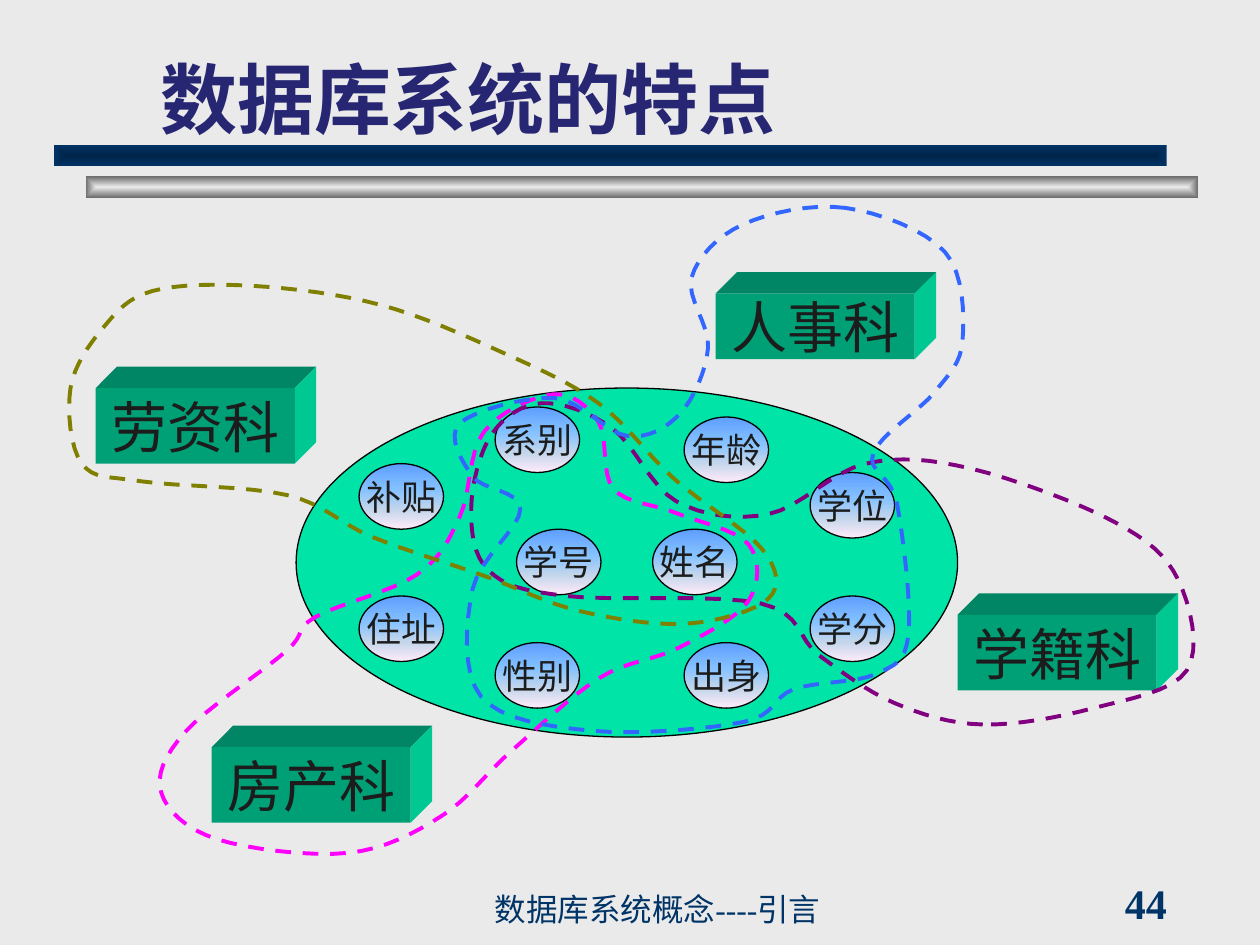
"""Builds the slide on which departments share the attributes of one database."""
from dataclasses import dataclass

from lxml import etree
from pptx import Presentation
from pptx.dml.color import RGBColor
from pptx.enum.dml import MSO_LINE
from pptx.enum.shapes import MSO_SHAPE
from pptx.enum.text import MSO_ANCHOR, MSO_AUTO_SIZE, PP_ALIGN
from pptx.oxml.ns import qn
from pptx.util import Inches, Pt

TITLE = ("数据库系统的特点", (1.17, 0.33, 8.52, 0.86))
FOOTER = ("数据库系统概念----引言", (3.83, 7.08, 4.08, 0.33))
PAGE_NUMBER = ("44", (8.83, 7, 1.08, 0.33))
DATABASE = (2.35, 3.08, 5.25, 2.77)
ATTRIBUTE_ROWS = [
    (3.23, {"系别": 3.93}),
    (3.31, {"年龄": 5.43}),
    (3.68, {"补贴": 2.85}),
    (3.75, {"学位": 6.43}),
    (4.2, {"学号": 4.1, "姓名": 5.18}),
    (4.73, {"住址": 2.85, "学分": 6.43}),
    (5.1, {"性别": 3.93, "出身": 5.43}),
]
DEPARTMENTS = [
    ("学籍科", (7.6, 4.88), 0.6, "800080", [
        (7.8, 5.75), (7.1, 5.58), (6.5, 5.2), (6.04, 4.79), (4.49, 4.73), (3.88, 4.53),
        (3.74, 4.03), (3.9, 3.45), (4.3, 3.2), (4.86, 3.4), (5.37, 3.98), (6.1, 4.08),
        (6.87, 3.68), (7.71, 3.72), (8.84, 4.14), (9.35, 4.6), (9.42, 5.32), (8.68, 5.62)]),
    ("房产科", (1.68, 5.93), 0.6, "FF00FF", [
        (1.47, 5.81), (2.27, 5.17), (2.5, 4.9), (3.31, 4.56), (3.65, 4.1), (3.84, 3.43),
        (4.39, 3.13), (4.75, 3.35), (4.87, 3.88), (5.36, 4.07), (5.94, 4.32), (5.94, 4.77),
        (5.39, 5.14), (4.76, 5.38), (4.06, 5.96), (3.5, 6.48), (2.76, 6.77), (1.72, 6.66),
        (1.28, 6.29)]),
    ("人事科", (5.68, 2.33), 0.52, "3366FF", [
        (6.71, 1.65), (5.9, 1.78), (5.49, 2.2), (5.62, 2.76), (5.4, 3.28), (4.98, 3.46),
        (4.4, 3.16), (3.65, 3.36), (3.75, 3.78), (4.13, 4.04), (3.75, 4.68), (3.82, 5.53),
        (4.7, 5.8), (5.9, 5.73), (6.3, 5.47), (6.95, 5.35), (7.21, 5.04), (7.12, 4),
        (6.93, 3.6), (7.42, 3.11), (7.64, 2.7), (7.5, 2)]),
    ("劳资科", (0.76, 3.08), 0.6, "808000", [
        (0.56, 3.08), (0.65, 3.68), (1.12, 3.82), (2.28, 3.93), (2.95, 4.26), (3.84, 4.57),
        (4.6, 4.85), (5.45, 4.95), (6.1, 4.75), (6.05, 4.36), (5.35, 3.8), (4.75, 3.2),
        (3.97, 2.79), (3.02, 2.42), (2.02, 2.27), (1.21, 2.31), (0.82, 2.6)]),
]


@dataclass(frozen=True)
class Theme:
    background: str = "EAEAEA"
    title: str = "262673"
    footer: str = "003366"
    text: str = "1C1C1C"
    outline: str = "000000"
    database: str = "00E4A8"
    box_front: str = "00A077"
    box_top: str = "008664"
    box_side: str = "00C892"
    bubble: tuple = ((0, "5E9EFF"), (40, "85C2FF"), (70, "C4D6EB"), (100, "FFEBFA"))
    silver_bar: tuple = ((0, "EAEAEA"), (100, "6C6C6C"))
    navy_bar: tuple = ((0, "002449"), (100, "003366"))
    body_font: str = "Lato"
    footer_font: str = "Times New Roman"
    title_size: int = 44
    department_size: int = 32
    page_size: int = 24
    attribute_size: int = 20
    footer_size: int = 18


THEME = Theme()
BAR_SIZE = (8.83, 0.17)
BARS = [((0.68, 1.4), THEME.silver_bar), ((0.43, 1.15), THEME.navy_bar)]
ATTRIBUTE_SIZE = (0.67, 0.52)
BOX_WIDTH, BOX_DEPTH = 1.58, 0.17
CURVE_STEPS = 8


def inches(values):
    return [Inches(value) for value in values]


def write(shape, text, size, color, font=THEME.body_font, bold=False,
          align=PP_ALIGN.LEFT, anchor=MSO_ANCHOR.MIDDLE, wrap=False):
    frame = shape.text_frame
    frame.text = text
    frame.word_wrap = wrap
    frame.auto_size = MSO_AUTO_SIZE.NONE
    frame.vertical_anchor = anchor
    paragraph = frame.paragraphs[0]
    paragraph.alignment = align
    style = paragraph.runs[0].font
    style.name, style.size, style.bold = font, Pt(size), bold
    style.color.rgb = RGBColor.from_string(color)


def paint(shape, fill=None, line=None, width=0.75):
    shape.shadow.inherit = False
    if fill:
        shape.fill.solid()
        shape.fill.fore_color.rgb = RGBColor.from_string(fill)
    else:
        shape.fill.background()
    if line:
        shape.line.color.rgb = RGBColor.from_string(line)
        shape.line.width = Pt(width)
    else:
        shape.line.fill.background()
    return shape


def add_gradient(shape, stops, centred=False):
    shape.fill.gradient()
    gradient = shape._element.spPr.find(qn("a:gradFill"))
    for child in list(gradient):
        gradient.remove(child)
    stop_list = etree.SubElement(gradient, qn("a:gsLst"))
    for position, color in stops:
        stop = etree.SubElement(stop_list, qn("a:gs"), pos=str(position * 1000))
        etree.SubElement(stop, qn("a:srgbClr"), val=color)
    if centred:
        direction = etree.SubElement(gradient, qn("a:path"), path="shape")
        etree.SubElement(direction, qn("a:fillToRect"), dict.fromkeys("ltrb", "50000"))
    else:
        etree.SubElement(gradient, qn("a:lin"), ang="5400000", scaled="0")


def add_outline(shapes, points):
    builder = shapes.build_freeform(*inches(points[0]))
    builder.add_line_segments([inches(point) for point in points[1:]], close=True)
    return builder.convert_to_shape()


def smooth_loop(points):
    """Return points along a closed Catmull-Rom curve."""
    curve = []
    for i in range(len(points)):
        corners = [points[(i + k) % len(points)] for k in (-1, 0, 1, 2)]
        for step in range(CURVE_STEPS):
            t = step / CURVE_STEPS
            curve.append([
                b + 0.5 * t * (c - a + t * (2 * a - 5 * b + 4 * c - d + t * (3 * (b - c) + d - a)))
                for a, b, c, d in zip(*corners)])
    return curve


def add_box(shapes, name, left, top, height):
    right, bottom, d = left + BOX_WIDTH, top + height, BOX_DEPTH
    upper = [(left, top), (left + d, top - d), (right + d, top - d), (right, top)]
    side = [(right, top), (right + d, top - d), (right + d, bottom - d), (right, bottom)]
    paint(add_outline(shapes, upper), THEME.box_top)
    paint(add_outline(shapes, side), THEME.box_side)
    place = inches((left, top, BOX_WIDTH, height))
    front = paint(shapes.add_shape(MSO_SHAPE.RECTANGLE, *place), THEME.box_front)
    write(front, name, THEME.department_size, THEME.text, align=PP_ALIGN.CENTER)


def main():
    deck = Presentation()
    deck.slide_width, deck.slide_height = Inches(10), Inches(7.5)
    slide = deck.slides.add_slide(deck.slide_layouts[5])
    slide.background.fill.solid()
    slide.background.fill.fore_color.rgb = RGBColor.from_string(THEME.background)
    shapes = slide.shapes

    title, title_place = TITLE
    heading = shapes.title
    heading.left, heading.top, heading.width, heading.height = inches(title_place)
    write(heading, title, THEME.title_size, THEME.title, bold=True,
          anchor=MSO_ANCHOR.BOTTOM, wrap=True)

    for corner, stops in BARS:
        bar = paint(shapes.add_shape(MSO_SHAPE.RECTANGLE, *inches(corner + BAR_SIZE)))
        add_gradient(bar, stops, centred=True)
    number, number_place = PAGE_NUMBER
    write(shapes.add_textbox(*inches(number_place)), number, THEME.page_size, THEME.footer,
          THEME.footer_font, bold=True)
    footer, footer_place = FOOTER
    write(shapes.add_textbox(*inches(footer_place)), footer, THEME.footer_size, THEME.footer,
          THEME.footer_font, anchor=MSO_ANCHOR.BOTTOM, wrap=True)

    paint(shapes.add_shape(MSO_SHAPE.OVAL, *inches(DATABASE)), THEME.database, THEME.outline)
    for top, attributes in ATTRIBUTE_ROWS:
        for name, left in attributes.items():
            place = inches((left, top, *ATTRIBUTE_SIZE))
            bubble = paint(shapes.add_shape(MSO_SHAPE.OVAL, *place), line=THEME.outline)
            add_gradient(bubble, THEME.bubble)
            write(bubble, name, THEME.attribute_size, THEME.text, align=PP_ALIGN.CENTER)
    for name, corner, height, color, loop in DEPARTMENTS:
        add_box(shapes, name, *corner, height)
        view = paint(add_outline(shapes, smooth_loop(loop)), line=color, width=2.25)
        view.line.dash_style = MSO_LINE.DASH

    deck.save("out.pptx")


if __name__ == "__main__":
    main()
